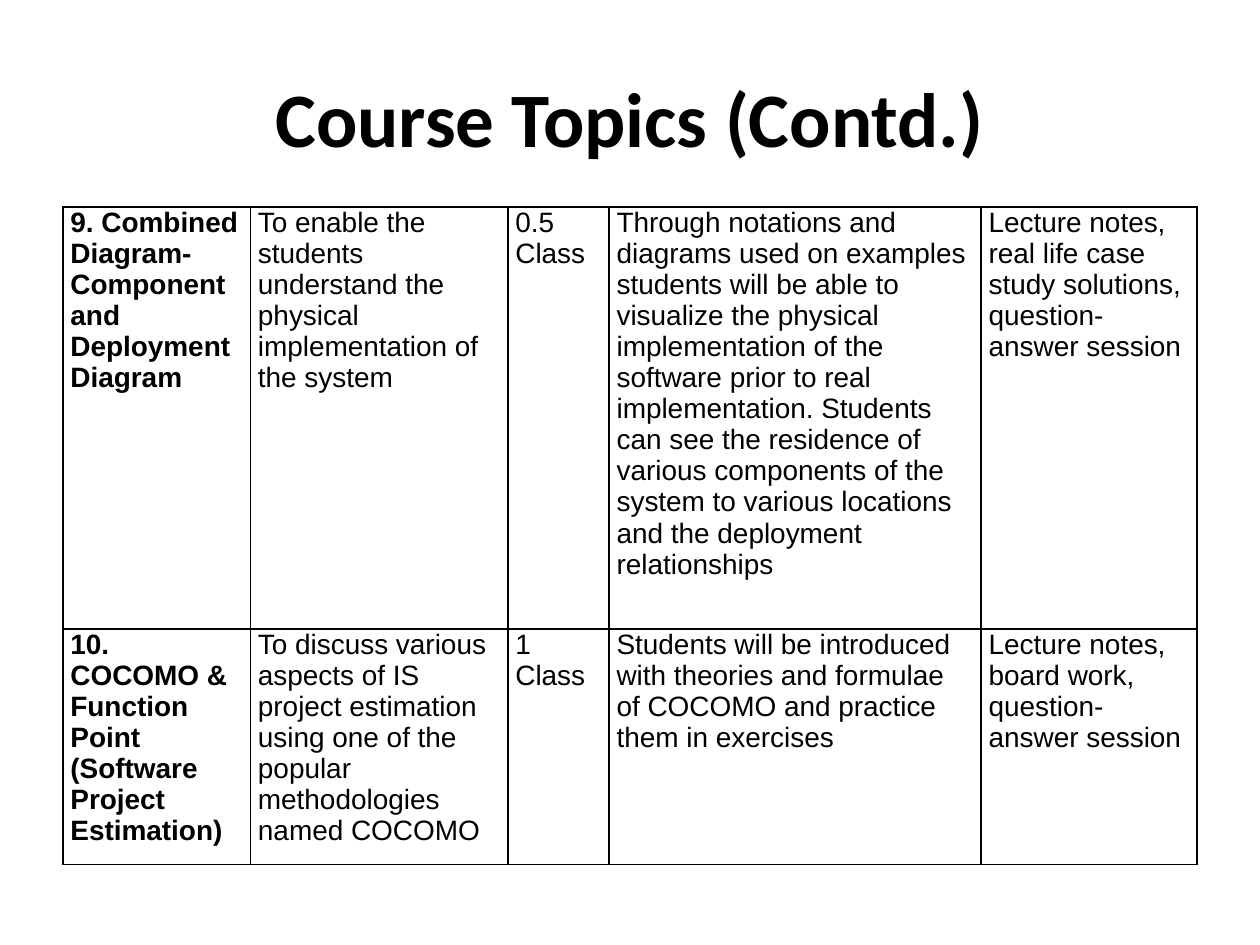
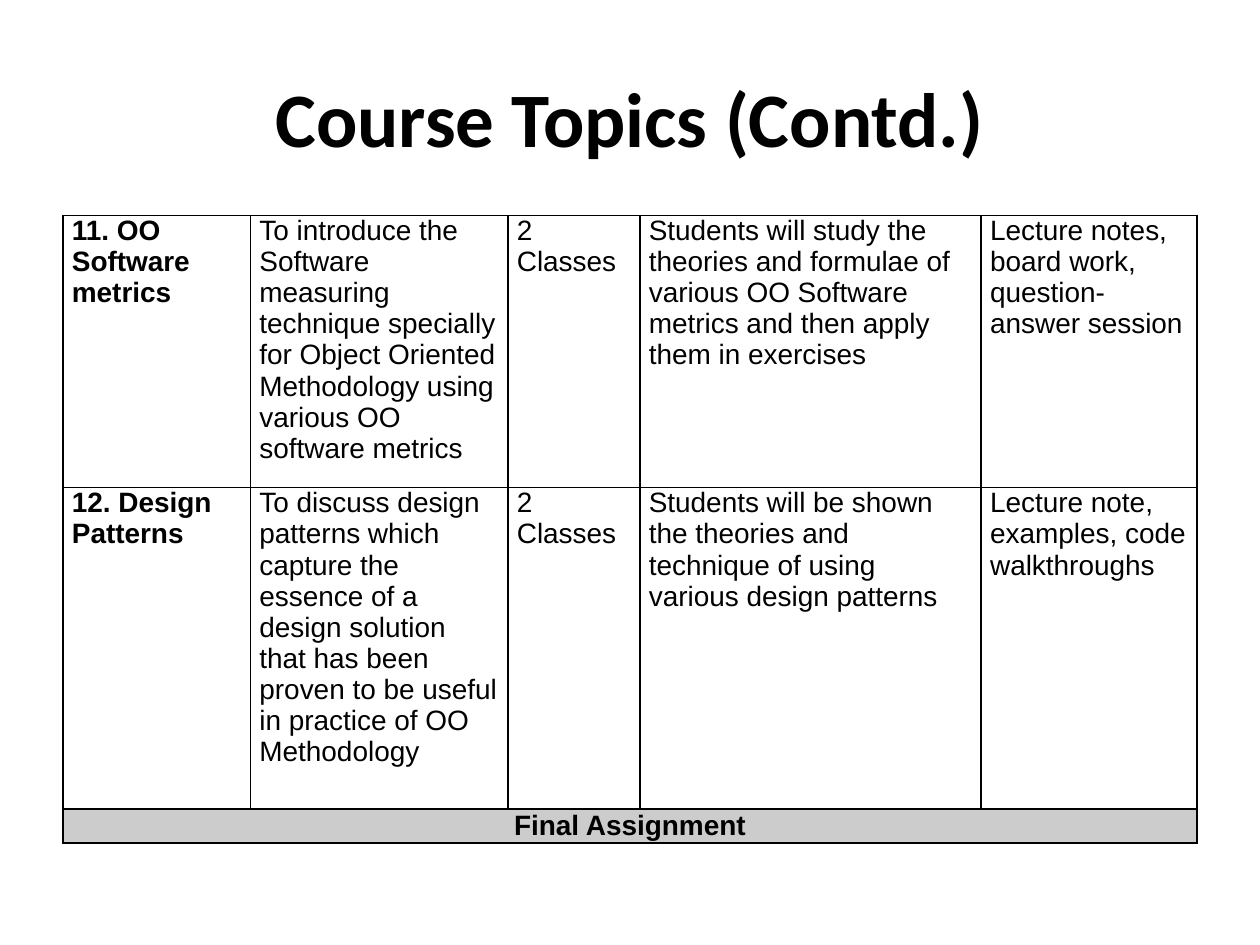
from lxml import etree
from pptx import Presentation
from pptx.dml.color import RGBColor
from pptx.enum.text import MSO_ANCHOR, PP_ALIGN
from pptx.oxml.ns import qn
from pptx.util import Cm, Pt

BLACK = RGBColor(0x00, 0x00, 0x00)
BAND_GREY = RGBColor(0xCC, 0xCC, 0xCC)
LEFT, CENTER = PP_ALIGN.LEFT, PP_ALIGN.CENTER
TOP, MIDDLE = MSO_ANCHOR.TOP, MSO_ANCHOR.MIDDLE

TITLE = "Course Topics (Contd.)"
MARGIN, CONTENT_WIDTH = 1.27, 22.86
INNER_LINE, OUTER_LINE = 1, 1.5


def write_text(frame, text, font="Arial", size=16, bold=False, align=LEFT):
    """Write each line of the text as one paragraph."""
    frame.word_wrap = True
    for index, line in enumerate(text.split("\n")):
        paragraph = frame.paragraphs[0] if index == 0 else frame.add_paragraph()
        paragraph.alignment = align
        run = paragraph.add_run()
        run.text = line
        run.font.name = font
        run.font.size = Pt(size)
        run.font.bold = bold
        run.font.color.rgb = BLACK


class TopicDeck:
    def __init__(self):
        self.presentation = Presentation()
        self.presentation.slide_width = Cm(25.4)
        self.presentation.slide_height = Cm(19.05)
        self.slide = None

    def add_slide(self):
        blank = self.presentation.slide_layouts[6]
        self.slide = self.presentation.slides.add_slide(blank)
        self.add_title(TITLE)

    def add_title(self, text):
        title = self.slide.shapes.add_textbox(
            Cm(MARGIN), Cm(0.76), Cm(CONTENT_WIDTH), Cm(3.18))
        title.text_frame.vertical_anchor = MIDDLE
        write_text(title.text_frame, text, font="Calibri", size=44,
                   bold=True, align=CENTER)

    def add_topics(self, topics, top, widths, heights, inset, closing=None):
        """Draw the topic rows, and a closing band across all columns."""
        table = self.slide.shapes.add_table(
            len(heights), len(widths), Cm(MARGIN), Cm(top),
            Cm(sum(widths)), Cm(sum(heights))).table
        table.first_row = table.horz_banding = False
        for column, width in zip(table.columns, widths):
            column.width = Cm(width)
        for row, height in zip(table.rows, heights):
            row.height = Cm(height)

        for row, topic in zip(table.rows, topics):
            for index, (cell, text) in enumerate(zip(row.cells, topic)):
                self.format_cell(cell, inset, index == 0,
                                 index == len(widths) - 1)
                write_text(cell.text_frame, text, bold=index == 0)

        if closing:
            last = len(heights) - 1
            band = table.cell(last, 0)
            band.merge(table.cell(last, len(widths) - 1))
            for cell in table.rows[last].cells:
                self.format_cell(cell, inset, True, True, BAND_GREY, MIDDLE)
            write_text(band.text_frame, closing, bold=True, align=CENTER)

    def format_cell(self, cell, inset, first, last, fill=None, anchor=TOP):
        cell.margin_left = cell.margin_right = Cm(inset)
        cell.margin_top = cell.margin_bottom = 0
        cell.vertical_anchor = anchor
        if fill is None:
            cell.fill.background()
        else:
            cell.fill.solid()
            cell.fill.fore_color.rgb = fill

        # Borders come before the fill in the cell properties
        properties = cell._tc.get_or_add_tcPr()
        borders = {"a:lnL": OUTER_LINE if first else INNER_LINE,
                   "a:lnR": OUTER_LINE if last else INNER_LINE,
                   "a:lnT": INNER_LINE, "a:lnB": INNER_LINE}
        for position, (side, width) in enumerate(borders.items()):
            line = etree.Element(qn(side), w=str(Pt(width)))
            solid = etree.SubElement(line, qn("a:solidFill"))
            etree.SubElement(solid, qn("a:srgbClr"), val=str(BLACK))
            properties.insert(position, line)


def main():
    deck = TopicDeck()

    # Topics 9 and 10
    deck.add_slide()
    deck.add_topics([
        ("9. Combined Diagram-\nComponent and\nDeployment Diagram",
         "To enable the students understand the physical implementation of "
         "the system",
         "0.5 Class",
         "Through notations and diagrams used on examples students will be "
         "able to visualize the physical implementation of the software prior "
         "to real implementation. Students can see the residence of various "
         "components of the system to various locations and the deployment "
         "relationships",
         "Lecture notes, real life case study solutions, question-answer "
         "session"),
        ("10. COCOMO & Function Point (Software Project Estimation)",
         "To discuss various aspects of IS project estimation using one of "
         "the popular methodologies named COCOMO",
         "1 Class",
         "Students will be introduced with theories and formulae of COCOMO "
         "and practice them in exercises",
         "Lecture notes, board work, question-answer session"),
    ], top=4.17, widths=(3.78, 5.19, 2.04, 7.5, 4.35),
        heights=(8.51, 4.75), inset=0.15)

    # Topics 11 and 12, with the final assignment
    deck.add_slide()
    deck.add_topics([
        ("11. OO Software metrics",
         "To introduce the Software measuring technique specially for Object "
         "Oriented Methodology using various OO software metrics",
         "2 Classes",
         "Students will study the theories and formulae of various OO "
         "Software metrics and then apply them in exercises",
         "Lecture notes, board work, question-answer session"),
        ("12. Design Patterns",
         "To discuss design patterns which capture the essence of a design "
         "solution that has been proven to be useful in practice of OO "
         "Methodology",
         "2 Classes",
         "Students will be shown the theories and technique of using various "
         "design patterns",
         "Lecture note, examples, code walkthroughs"),
    ], top=4.34, widths=(3.78, 5.19, 2.66, 6.88, 4.35),
        heights=(5.49, 6.48, 0.68), inset=0.18, closing="Final Assignment")

    deck.presentation.save("out.pptx")


if __name__ == "__main__":
    main()
